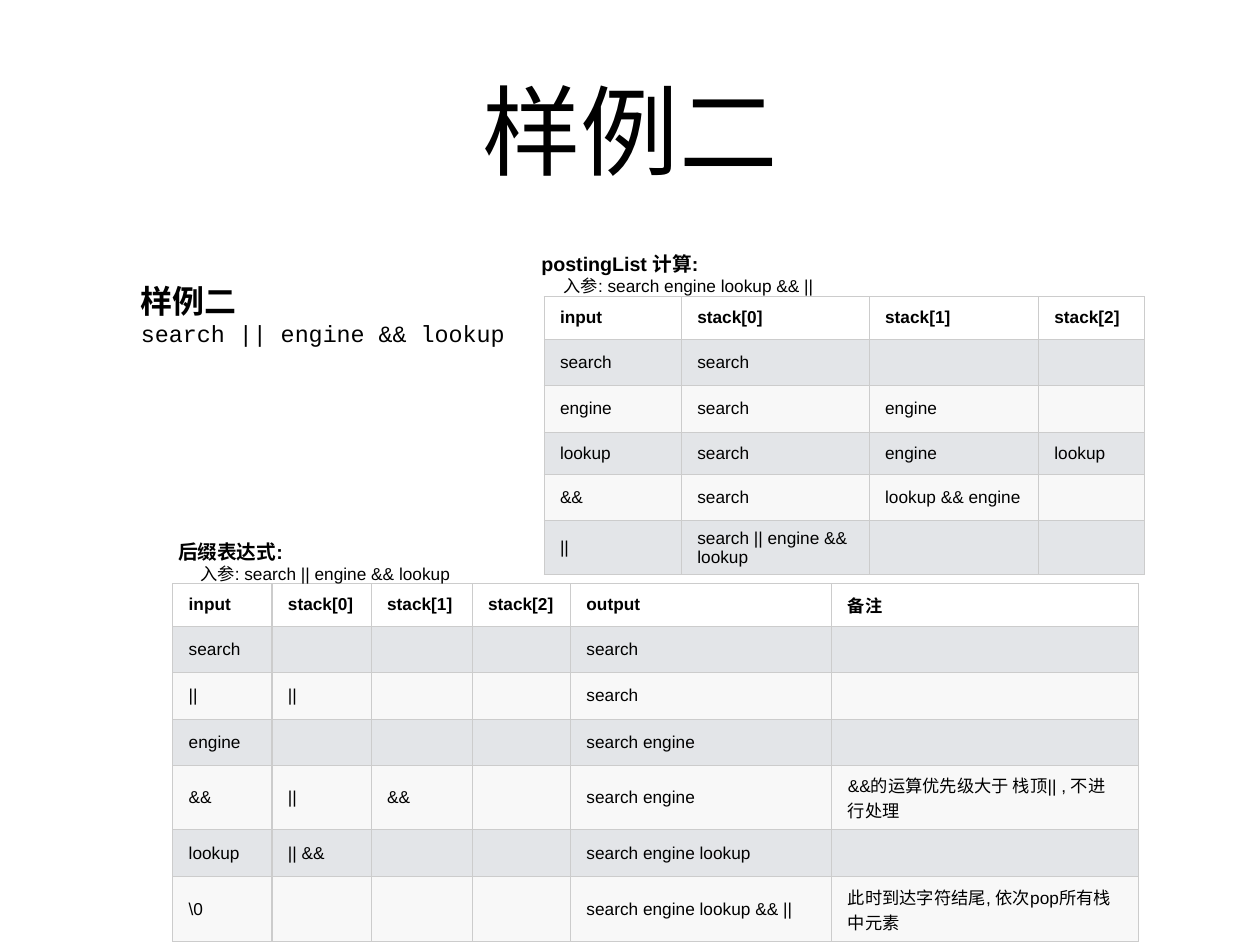
from dataclasses import dataclass

from lxml import etree
from pptx import Presentation
from pptx.dml.color import RGBColor
from pptx.enum.text import MSO_ANCHOR, MSO_AUTO_SIZE, PP_ALIGN
from pptx.oxml.ns import qn
from pptx.util import Inches, Pt

MIDDLE = MSO_ANCHOR.MIDDLE
CENTER = PP_ALIGN.CENTER
LEFT = PP_ALIGN.LEFT
FIXED_SIZE = MSO_AUTO_SIZE.NONE


@dataclass(frozen=True)
class Theme:
    text: str = "000000"
    border: str = "CCCCCC"
    header: str = "FFFFFF"
    bands: tuple = ("E3E5E8", "F8F8F8")
    title_font: str = "Roboto"
    body_font: str = "Arial"
    code_font: str = "Courier New"
    title_size: int = 80
    heading_size: int = 26
    code_size: int = 19
    caption_size: int = 16
    body_size: int = 14


THEME = Theme()


def write_text(paragraph, text, size=THEME.body_size, font=THEME.body_font,
               bold=False, align=LEFT, indent=0):
    paragraph.alignment = align
    if indent:
        properties = paragraph._p.get_or_add_pPr()
        properties.set("marL", "0")
        properties.set("indent", str(Inches(indent)))
    run = paragraph.add_run()
    run.text = text
    run.font.name = font
    run.font.size = Pt(size)
    run.font.bold = bold
    run.font.color.rgb = RGBColor.from_string(THEME.text)


class SlideBuilder:
    def __init__(self, slide, theme):
        self.slide = slide
        self.theme = theme

    def format_frame(self, frame):
        frame.margin_left = frame.margin_right = Inches(0.06)
        frame.margin_top = frame.margin_bottom = Inches(0.06)
        frame.vertical_anchor = MIDDLE
        frame.word_wrap = True
        frame.auto_size = FIXED_SIZE

    def add_title(self, text, left, top, width, height):
        shape = self.slide.shapes.title
        shape.left, shape.top = Inches(left), Inches(top)
        shape.width, shape.height = Inches(width), Inches(height)
        frame = shape.text_frame
        self.format_frame(frame)
        write_text(frame.paragraphs[0], text, size=self.theme.title_size,
                   font=self.theme.title_font, align=CENTER)

    def add_text(self, left, top, width, height, lines):
        shape = self.slide.shapes.add_textbox(
            Inches(left), Inches(top), Inches(width), Inches(height))
        frame = shape.text_frame
        self.format_frame(frame)
        for index, (text, style) in enumerate(lines):
            paragraph = frame.add_paragraph() if index else frame.paragraphs[0]
            write_text(paragraph, text, **style)

    def add_caption(self, left, top, heading, argument):
        self.add_text(left, top, 3.8, 0.93, [
            (heading, {"size": self.theme.caption_size, "bold": True}),
            (argument, {"indent": 0.25}),
        ])

    def add_borders(self, cell):
        properties = cell._tc.get_or_add_tcPr()
        for side in ("lnL", "lnR", "lnT", "lnB"):
            line = etree.SubElement(properties, qn(f"a:{side}"), w=str(Pt(1)))
            fill = etree.SubElement(line, qn("a:solidFill"))
            etree.SubElement(fill, qn("a:srgbClr"), val=self.theme.border)

    def add_table(self, left, top, widths, heights, rows):
        table = self.slide.shapes.add_table(
            len(rows), len(widths), Inches(left), Inches(top),
            Inches(sum(widths)), Inches(sum(heights))).table
        for column, width in zip(table.columns, widths):
            column.width = Inches(width)
        for row, height in zip(table.rows, heights):
            row.height = Inches(height)
        for row_index, texts in enumerate(rows):
            is_header = row_index == 0
            color = self.theme.header if is_header else self.theme.bands[(row_index - 1) % 2]
            for column_index, text in enumerate(texts):
                cell = table.cell(row_index, column_index)
                cell.margin_left = cell.margin_right = Inches(0.18)
                cell.margin_top = cell.margin_bottom = Inches(0.08)
                cell.vertical_anchor = MIDDLE
                self.add_borders(cell)
                cell.fill.solid()
                cell.fill.fore_color.rgb = RGBColor.from_string(color)
                write_text(cell.text_frame.paragraphs[0], text, bold=is_header)


POSTFIX_ROWS = [
    ("input", "stack[0]", "stack[1]", "stack[2]", "output", "备注"),
    ("search", "", "", "", "search", ""),
    ("||", "||", "", "", "search", ""),
    ("engine", "", "", "", "search engine", ""),
    ("&&", "||", "&&", "", "search engine", "&&的运算优先级大于 栈顶|| , 不进行处理"),
    ("lookup", "|| &&", "", "", "search engine lookup", ""),
    ("\\0", "", "", "", "search engine lookup && ||", "此时到达字符结尾, 依次pop所有栈中元素"),
]

POSTING_ROWS = [
    ("input", "stack[0]", "stack[1]", "stack[2]"),
    ("search", "search", "", ""),
    ("engine", "search", "engine", ""),
    ("lookup", "search", "engine", "lookup"),
    ("&&", "search", "lookup && engine", ""),
    ("||", "search || engine && lookup", "", ""),
]


def main():
    presentation = Presentation()
    presentation.slide_width = Inches(14.22)
    presentation.slide_height = Inches(10.67)
    slide = presentation.slides.add_slide(presentation.slide_layouts[5])
    builder = SlideBuilder(slide, THEME)

    builder.add_title("样例二", 1.04, 0.28, 12.14, 2.36)
    builder.add_table(1.95, 6.59, (1.12, 1.12, 1.14, 1.11, 2.95, 3.46),
                      (0.48, 0.52, 0.53, 0.52, 0.73, 0.53, 0.73), POSTFIX_ROWS)
    builder.add_table(6.14, 3.35, (1.55, 2.12, 1.91, 1.2),
                      (0.48, 0.52, 0.53, 0.48, 0.52, 0.61), POSTING_ROWS)
    builder.add_text(1.53, 2.92, 4.4, 1.26, [
        ("样例二", {"size": THEME.heading_size, "bold": True}),
        ("search || engine && lookup", {"size": THEME.code_size, "font": THEME.code_font}),
    ])
    builder.add_caption(1.95, 5.88, "后缀表达式:", "入参: search || engine && lookup")
    builder.add_caption(6.05, 2.63, "postingList 计算:", "入参: search engine lookup && ||")

    presentation.save("out.pptx")


if __name__ == "__main__":
    main()
